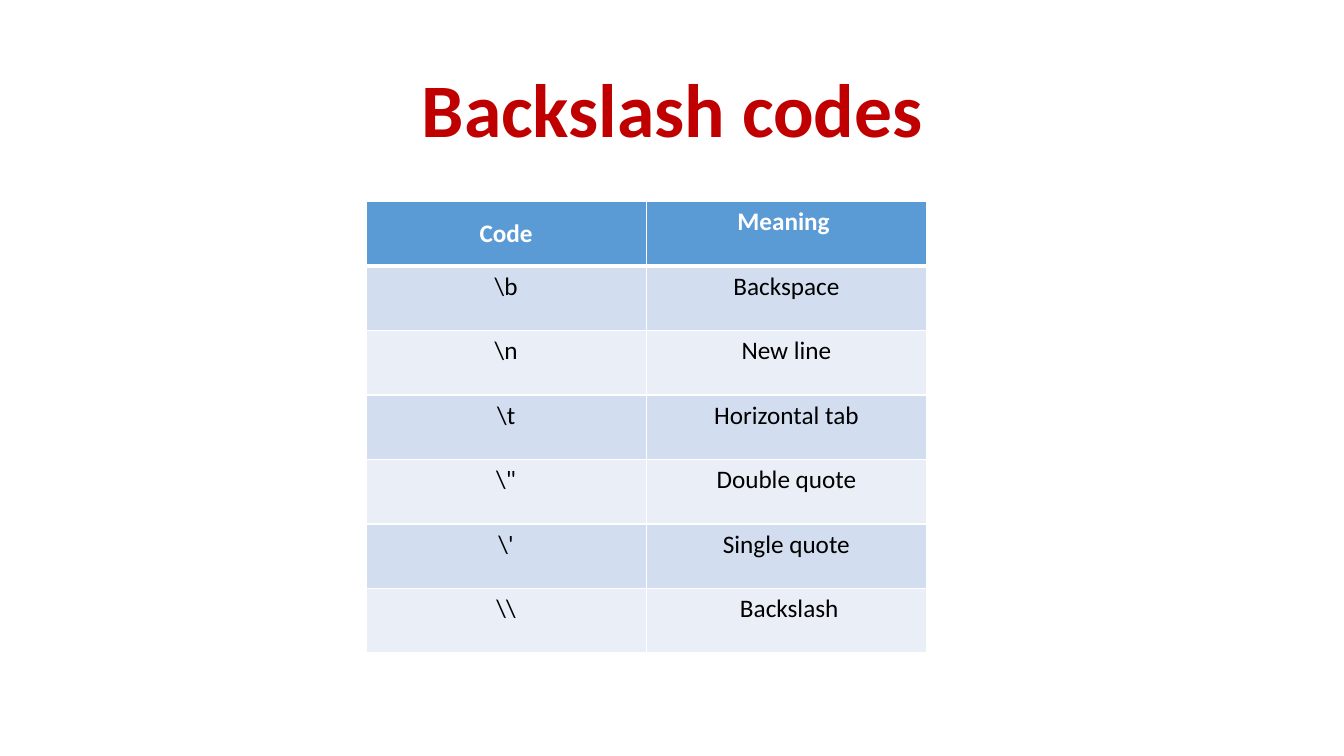
from lxml.etree import SubElement
from pptx import Presentation
from pptx.dml.color import RGBColor as RGB
from pptx.enum.text import MSO_ANCHOR as ANCHOR, PP_ALIGN as ALIGN
from pptx.oxml.ns import qn
from pptx.util import Inches, Pt

TITLE = "Backslash codes"
ROWS = [
    ("Code", "Meaning "),
    ("\\b", "Backspace"),
    ("\\n", "New line"),
    ("\\t", "Horizontal tab"),
    ("\\\"", "Double quote"),
    ("\\'", "Single quote"),
    ("\\\\", " Backslash"),
]
COLORS = {"title": "C00000", "header": "5B9BD5", "odd": "D2DEEF",
          "even": "EAEFF7", "white": "FFFFFF", "text": "000000"}
FONT = "Calibri"
COL_W, ROW_H = 2.78, 0.64
TABLE_LEFT, TABLE_TOP = 3.63, 2


def write(tf, text, size, color, bold):
    """Put one centred run of text into a text frame."""
    p = tf.paragraphs[0]
    p.alignment = ALIGN.CENTER
    r = p.add_run()
    r.text = text
    r.font.name, r.font.size, r.font.bold = FONT, Pt(size), bold
    r.font.color.rgb = RGB.from_string(COLORS[color])
    return p


def set_borders(cell, **widths):
    """Draw white cell borders, ahead of the fill, with widths in points."""
    tc_pr = cell._tc.get_or_add_tcPr()
    for i, (side, width) in enumerate(widths.items()):
        ln = SubElement(tc_pr, qn(f"a:ln{side}"), w=str(Pt(width)))
        fill = SubElement(ln, qn("a:solidFill"))
        SubElement(fill, qn("a:srgbClr"), val=COLORS["white"])
        tc_pr.insert(i, ln)


prs = Presentation()
prs.slide_width, prs.slide_height = Inches(13.33), Inches(7.5)
slide = prs.slides.add_slide(prs.slide_layouts[5])

title = slide.shapes.title
title.left, title.top = Inches(0.92), Inches(0.4)
title.width, title.height = Inches(11.5), Inches(1.45)
title.text_frame.vertical_anchor = ANCHOR.MIDDLE
write(title.text_frame, TITLE, 54, "title", True).line_spacing = 0.9

table = slide.shapes.add_table(
    len(ROWS), len(ROWS[0]), Inches(TABLE_LEFT), Inches(TABLE_TOP),
    Inches(COL_W * len(ROWS[0])), Inches(ROW_H * len(ROWS))).table
for column in table.columns:
    column.width = Inches(COL_W)

for i, row in enumerate(ROWS):
    table.rows[i].height = Inches(ROW_H)
    header = i == 0
    band = "header" if header else "odd" if i % 2 else "even"
    for j, text in enumerate(row):
        cell = table.cell(i, j)
        cell.fill.solid()
        cell.fill.fore_color.rgb = RGB.from_string(COLORS[band])
        set_borders(cell, L=1, R=1, T=3 if i == 1 else 1, B=3 if header else 1)
        write(cell.text_frame, text, 18, "white" if header else "text", header)
table.cell(0, 0).vertical_anchor = ANCHOR.MIDDLE

prs.save("out.pptx")
